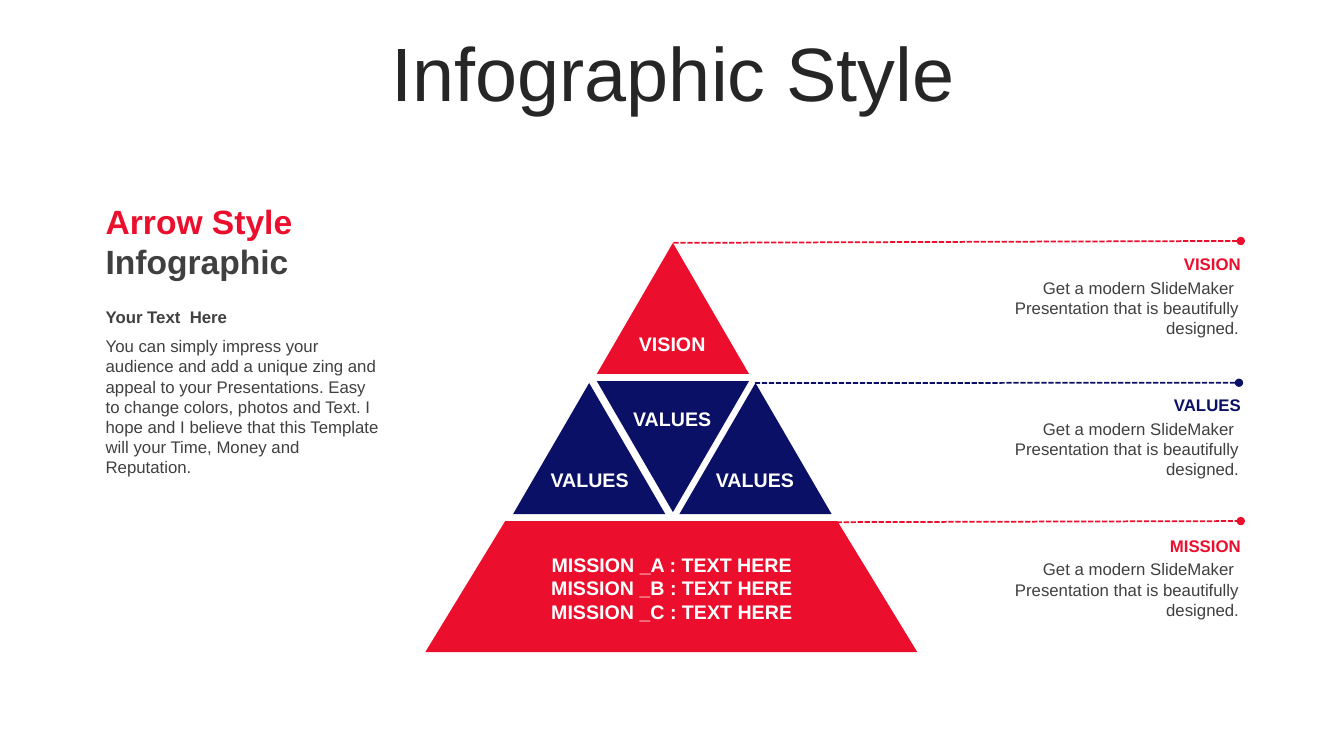
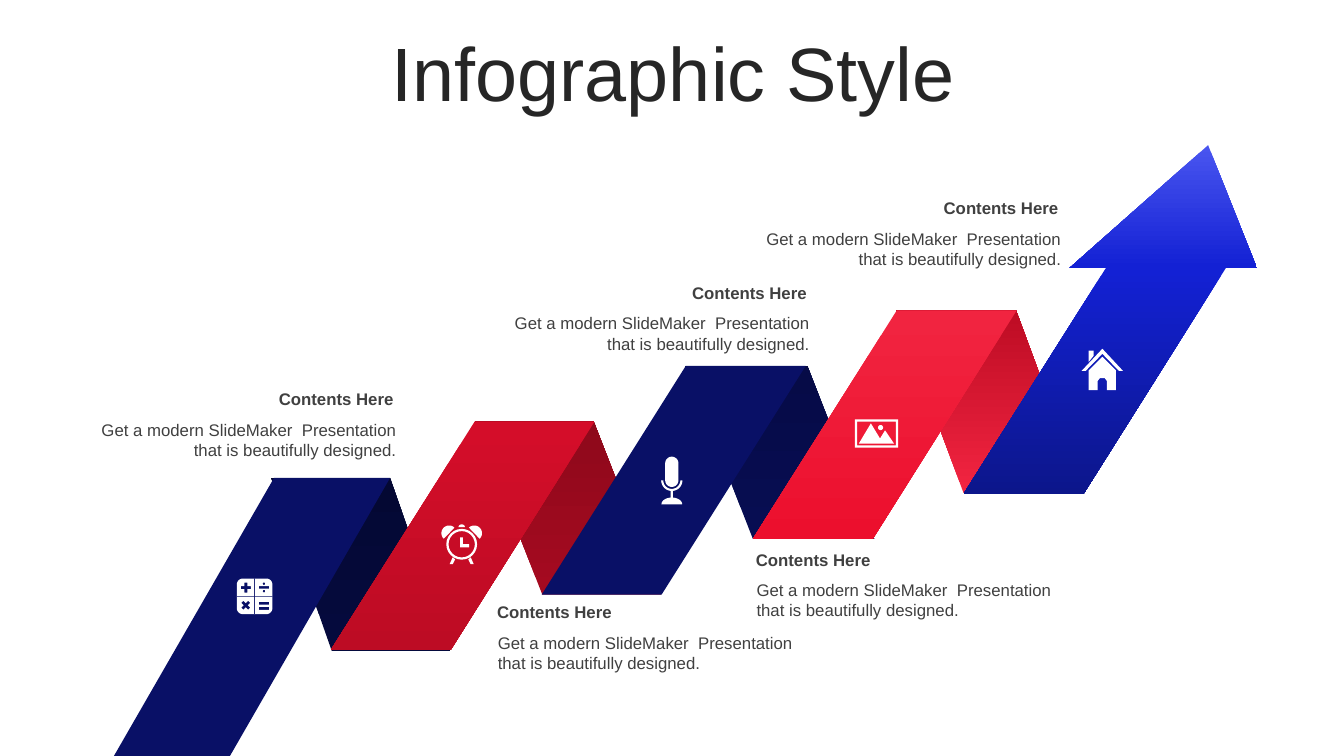
"""Builds two infographic slides: a layered pyramid and a folded rising arrow."""
from math import cos, radians, sin

from lxml import etree
from pptx import Presentation
from pptx.dml.color import RGBColor
from pptx.enum.dml import MSO_LINE
from pptx.enum.shapes import MSO_CONNECTOR, MSO_SHAPE
from pptx.enum.text import MSO_ANCHOR, MSO_AUTO_SIZE, PP_ALIGN
from pptx.oxml.ns import qn
from pptx.util import Pt

LEFT, CENTER, RIGHT = PP_ALIGN.LEFT, PP_ALIGN.CENTER, PP_ALIGN.RIGHT
TRIANGLE, TRAPEZOID = MSO_SHAPE.ISOSCELES_TRIANGLE, MSO_SHAPE.TRAPEZOID
SLANT = MSO_SHAPE.PARALLELOGRAM
STRAIGHT, DASH = MSO_CONNECTOR.STRAIGHT, MSO_LINE.SQUARE_DOT

FONT = "Arial"
RED, NAVY, GRAY, INK, WHITE = "EC0F2D", "091066", "404040", "262626", "FFFFFF"
NO_INSETS, INSETS, HEADING_INSETS = (0, 0, 0, 0), (7.2, 3.6, 7.2, 3.6), (7.2, 3.6, 8.64, 3.6)

TITLE = "Infographic Style"
BLURB = "Get a modern SlideMaker  Presentation that is beautifully designed."
INTRO = ("You can simply impress your audience and add a unique zing and appeal to your "
         "Presentations. Easy to change colors, photos and Text. I hope and I believe that "
         "this Template will your Time, Money and Reputation.")

PYRAMID = [
    (TRIANGLE, (426.3, 173.5, 108.7, 93.6), 0, None, RED),
    (TRIANGLE, (426.3, 272.2, 108.7, 93.6), 180, None, NAVY),
    (TRIANGLE, (485.3, 273.6, 108.7, 93.6), 0, None, NAVY),
    (TRIANGLE, (366.5, 273.6, 108.7, 93.6), 0, None, NAVY),
    (TRAPEZOID, (303.8, 372.2, 351.4, 93.6), 0, 0.61, RED),
]
PYRAMID_LABELS = [
    (["VISION"], (440.6, 236.9, 79.2, 17)),
    (["VALUES"], (440.6, 290.9, 79.2, 17)),
    (["VALUES"], (499.7, 334.1, 79.2, 17)),
    (["VALUES"], (381.6, 334.1, 79.2, 17)),
    ([f"MISSION _{letter} : TEXT HERE" for letter in "ABC"], (366.5, 394.6, 226.8, 51)),
]
CALLOUTS = [
    ("VISION", RED, (481, 173.5, 886.3, 172.1)),
    ("VALUES", NAVY, (539.3, 273.6, 885, 273.4)),
    ("MISSION", RED, (597.6, 373, 886.3, 372.2)),
]
CALLOUT_TOP, CALLOUT_STEP = 181.4, 100.6

FOLDS = [
    ((640.1, 221.8, 133.9, 130.3), 0.37, ("F12440", "BD0C24")),
    ((489.6, 261.4, 135.4, 123.8), 0.39, ("070D52", "060B47")),
    ((193.7, 341.3, 128.2, 123.8), 0.35, ("050A3D", "040833")),
    ((339.1, 301, 133.2, 123.8), 0.39, ("A50A20", "8E091B")),
]
RIBBONS = [
    (301, ("D40D29", "BD0C24")),
    (261.4, NAVY),
    (221.8, ("F12440", RED)),
    (189.4, ("1321D4", "0C168B")),
]
RIBBON_LEFT, RIBBON_STEP, RIBBON_SIZE = 236.2, 150.7, (188.6, 163.4)
NOTES = [
    (532.8, 388.8, LEFT),
    (348, 426.6, LEFT),
    (517.7, 137.9, RIGHT),
    (42.8, 274.3, RIGHT),
    (338, 198.4, RIGHT),
]


def arc(x, y, wide, high, start=0, end=360):
    """Return points along an ellipse, clockwise in degrees."""
    count = 24
    angles = [radians(start + (end - start) * i / count) for i in range(count + 1)]
    return [(x + wide * cos(a), y + high * sin(a)) for a in angles]


def rounded(left, top, width, height, radius=0):
    """Return the outline of a rectangle with rounded corners."""
    right, bottom = left + width, top + height
    if not radius:
        return [(left, top), (right, top), (right, bottom), (left, bottom)]
    corners = [(right - radius, bottom - radius), (left + radius, bottom - radius),
               (left + radius, top + radius), (right - radius, top + radius)]
    return [point for i, (x, y) in enumerate(corners)
            for point in arc(x, y, radius, radius, 90 * i, 90 * i + 90)]


def plus(x, y, arm, half, turn=0):
    """Return the outline of a plus sign turned by some degrees."""
    points = []
    for quarter in range(4):
        a = radians(turn + 90 * quarter)
        for u, v in ((arm, -half), (arm, half), (half, half)):
            points.append((x + u * cos(a) - v * sin(a), y + u * sin(a) + v * cos(a)))
    return points


def mirrored(points, axis):
    """Return points reflected across a vertical axis."""
    return [(2 * axis - x, y) for x, y in points]


BELL = arc(5.4, 6.5, 5.5, 5.5, 134, 314)
LEG = [(7.9, 23.8), (9.7, 25.2), (8, 28.6), (5.8, 28.6)]
ICONS = {
    "clock": ((315.4, 374.4), [
        arc(14.4, 14.4, 11, 11), arc(14.4, 14.4, 9.4, 9.4),
        [(13.3, 9.4), (15.3, 9.4), (15.3, 14.4), (19.7, 14.4), (19.7, 16.6), (13.3, 16.6)],
        BELL, mirrored(BELL, 14.4), LEG, mirrored(LEG, 14.4),
        arc(14.4, 2.2, 2.3, 2, 180, 360)]),
    "calculator": ((169.2, 413.3), [
        rounded(0, 0, 25.4, 25.4, 4.3), plus(12.7, 12.7, 12.7, 0.3),
        plus(6.5, 6.5, 3.6, 1.1), plus(6.4, 19.1, 3.5, 1.1, 45),
        rounded(15.8, 5.4, 7.2, 1.8), arc(19.4, 3.7, 0.9, 0.9), arc(19.4, 9, 0.9, 0.9),
        rounded(15.8, 16.6, 7.2, 2.1), rounded(15.8, 20.2, 7.2, 2.1)]),
    "house": ((772.6, 249.1), [
        [(14.8, 5.8), (24.5, 15.5), (24.5, 29.5), (18, 29.5), (18, 23), (16.5, 21),
         (13, 21), (11.5, 23), (11.5, 29.5), (5, 29.5), (5, 15.5)],
        [(5, 1.4), (8.6, 1.4), (8.6, 5), (5, 9.4)],
        [(14.8, 0), (29.5, 15.8), (26.6, 15.8), (14.8, 3.6), (2.9, 15.8), (0, 15.8)]]),
    "microphone": ((472.3, 326.2), [
        rounded(2.9, 0, 9.4, 21.6, 4.7),
        arc(7.6, 16.9, 7.6, 7.6, 0, 180) + arc(7.6, 16.9, 6.1, 6.1, 180, 0),
        rounded(6.8, 24.5, 1.6, 4.7), arc(7.6, 34, 7.4, 4.8, 180, 360)]),
    "photo": ((610.6, 299.5), [
        rounded(0, 0, 31, 20.2), rounded(1.6, 1.6, 27.8, 17), arc(18.4, 5.9, 1.8, 1.8),
        [(11.5, 2.9), (18, 13.7), (21.6, 7.9), (28, 17.3), (2.9, 17.3)]]),
}


def rgb(color):
    """Turn a hex string into a colour."""
    return RGBColor.from_string(color)


def style(target, formats):
    """Set each attribute named in a dict of format values."""
    for name, value in formats.items():
        setattr(target, name, value)


def paint(shape, fill):
    """Fill a shape with one colour or a top-down pair, without line or shadow."""
    shape.shadow.inherit = False
    shape.line.fill.background()
    if isinstance(fill, str):
        shape.fill.solid()
        shape.fill.fore_color.rgb = rgb(fill)
        return
    shape.fill.gradient()
    shape.fill.gradient_angle = 270
    for stop, color, position in zip(shape.fill.gradient_stops, fill, (0.02, 1)):
        stop.color.rgb = rgb(color)
        stop.position = position


def add_shape(page, kind, place, fill, adjust=None, rotation=0):
    """Add a preset shape."""
    shape = page.shapes.add_shape(kind, *map(Pt, place))
    if adjust is not None:
        shape.adjustments[0] = adjust
    shape.rotation = rotation
    paint(shape, fill)
    return shape


def add_span(para, words, size, color, bold=False):
    """Add a formatted run to a paragraph."""
    span = para.add_run()
    span.text = words
    style(span.font, {"name": FONT, "size": Pt(size), "bold": bold})
    span.font.color.rgb = rgb(color)


def add_text(page, place, paras, size, bold=False, align=LEFT, insets=INSETS):
    """Add a text box; each paragraph is a list of (words, colour) spans."""
    frame = page.shapes.add_textbox(*map(Pt, place)).text_frame
    sides = ("margin_left", "margin_top", "margin_right", "margin_bottom")
    style(frame, {"word_wrap": True, **dict(zip(sides, map(Pt, insets)))})
    for i, spans in enumerate(paras):
        para = frame.add_paragraph() if i else frame.paragraphs[0]
        para.alignment = align
        for words, color in spans:
            add_span(para, words, size, color, bold)


def add_leader(page, ends, color):
    """Add a dashed line that ends in a dot."""
    leader = page.shapes.add_connector(STRAIGHT, *map(Pt, ends))
    leader.line.color.rgb = rgb(color)
    style(leader.line, {"width": Pt(1.25), "dash_style": DASH})
    properties = leader._element.spPr
    etree.SubElement(properties.find(qn("a:ln")), qn("a:tailEnd")).set("type", "oval")
    etree.SubElement(properties, qn("a:effectLst"))


def add_icon(page, origin, outlines):
    """Add a white icon whose inner outlines cut holes."""
    placed = [[(Pt(origin[0] + x), Pt(origin[1] + y)) for x, y in outline]
              for outline in outlines]
    builder = page.shapes.build_freeform(*placed[0][0])
    for i, points in enumerate(placed):
        if i:
            builder.move_to(*points[0])
        builder.add_line_segments(points[1:], close=True)
    paint(builder.convert_to_shape(), WHITE)


def add_page(deck):
    """Add a slide with the shared title style."""
    page = deck.slides.add_slide(deck.slide_layouts[5])
    title = page.shapes.title
    style(title, dict(zip(("left", "top", "width", "height"), map(Pt, (25.2, 26.6, 911.5, 56.9)))))
    style(title.text_frame, {"auto_size": MSO_AUTO_SIZE.NONE, "vertical_anchor": MSO_ANCHOR.MIDDLE})
    para = title.text_frame.paragraphs[0]
    style(para, {"alignment": CENTER, "line_spacing": 0.9, "space_before": Pt(0)})
    add_span(para, TITLE, 54, INK)
    return page


def build_pyramid(deck):
    """Build the pyramid slide."""
    page = add_page(deck)
    for kind, place, rotation, adjust, fill in PYRAMID:
        add_shape(page, kind, place, fill, adjust, rotation)
    for i, (name, color, ends) in enumerate(CALLOUTS):
        top = CALLOUT_TOP + i * CALLOUT_STEP
        add_leader(page, ends, color)
        add_text(page, (715, top + 16.8, 170, 43.6), [[(BLURB, GRAY)]], 12, False, RIGHT, NO_INSETS)
        add_text(page, (681.1, top, 205.2, 14.5), [[(name, color)]], 12, True, RIGHT, NO_INSETS)
    for lines, place in PYRAMID_LABELS:
        add_text(page, place, [[(line, WHITE)] for line in lines], 14, True, CENTER, NO_INSETS)
    add_text(page, (68.4, 215.3, 213.1, 21.6), [[("Your Text  Here", GRAY)]], 12, True)
    add_text(page, (68.4, 236.5, 213.1, 108.7), [[(INTRO, GRAY)]], 12)
    add_text(page, (68.4, 139.7, 198.7, 65.5),
             [[("Arrow Style ", RED), ("Infographic", GRAY)]], 24, True)


def build_arrow(deck):
    """Build the folded arrow slide."""
    page = add_page(deck)
    for place, adjust, fill in FOLDS:
        fold = add_shape(page, SLANT, place, fill, adjust)
        fold._element.spPr.find(qn("a:xfrm")).set("flipV", "1")
    for i, (top, fill) in enumerate(RIBBONS):
        add_shape(page, SLANT, (RIBBON_LEFT + i * RIBBON_STEP, top, *RIBBON_SIZE), fill, 0.63)
    add_shape(page, SLANT, (81.4, 341.3, 197.3, 198.7), NAVY, 0.58)
    add_shape(page, TRIANGLE, (763.9, 103.7, 133.9, 87.8), ("4854EF", "1321D4"), 0.74)
    for left, top, align in NOTES:
        add_text(page, (left + 0.5, top + 21.8, 247, 36), [[(BLURB, GRAY)]], 12, False, align)
        add_text(page, (left, top, 247, 21.6), [[("Contents Here", GRAY)]], 12, True,
                 align, HEADING_INSETS)
    for origin, outlines in ICONS.values():
        add_icon(page, origin, outlines)


def main():
    """Build and save the deck."""
    deck = Presentation()
    style(deck, {"slide_width": Pt(960), "slide_height": Pt(540)})
    build_pyramid(deck)
    build_arrow(deck)
    deck.save("out.pptx")


if __name__ == "__main__":
    main()
